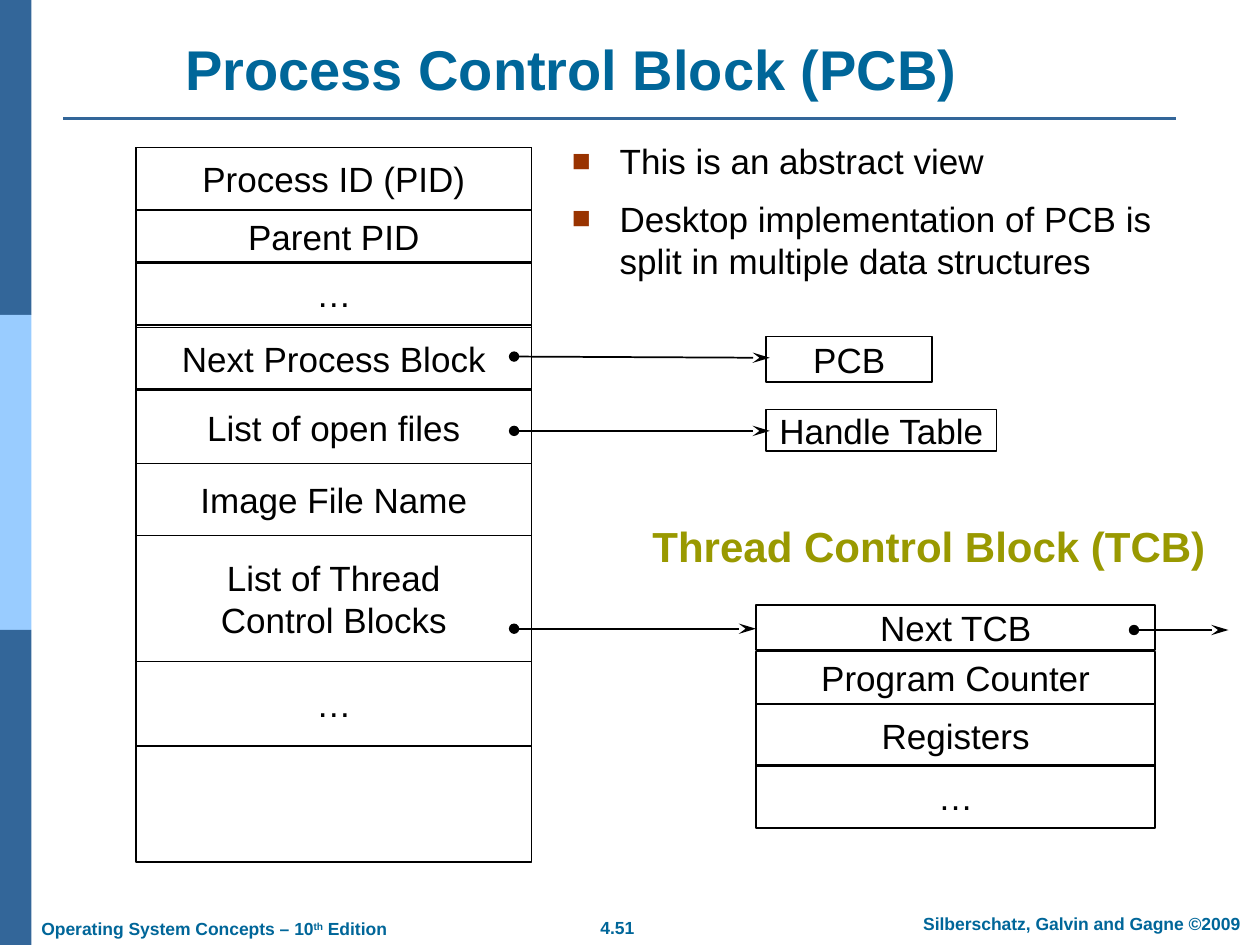
import pptx
import pptx.util
import pptx.dml.color
import pptx.enum.shapes
import pptx.enum.text
import pptx.oxml
import pptx.oxml.ns
from lxml import etree

Inches = pptx.util.Inches
Pt = pptx.util.Pt
RGBColor = pptx.dml.color.RGBColor
ALIGN = pptx.enum.text.PP_ALIGN
ANCHOR = pptx.enum.text.MSO_ANCHOR
RECT = pptx.enum.shapes.MSO_SHAPE.RECTANGLE
LINE = pptx.enum.shapes.MSO_CONNECTOR.STRAIGHT
qn = pptx.oxml.ns.qn

BLACK = RGBColor(0, 0, 0)
BLUE = RGBColor(0x33, 0x66, 0x99)
PALE = RGBColor(0x99, 0xCC, 0xFF)
TEAL = RGBColor(0, 0x66, 0x99)
OLIVE = RGBColor(0x99, 0x99, 0)

deck = pptx.Presentation()
deck.slide_width, deck.slide_height = Inches(10), Inches(7.5)
slide = deck.slides.add_slide(deck.slide_layouts[6])
shapes = slide.shapes


def add_text(frame, text, size, color, bold=False, align=ALIGN.LEFT):
    """Fill the first paragraph of a frame and style it."""
    para = frame.paragraphs[0]
    para.text = text
    para.alignment = align
    font = para.font
    font.name, font.size, font.bold = "Arial", Pt(size), bold
    font.color.rgb = color
    return para


def add_line(start, end, color, width):
    line = shapes.add_connector(LINE, *[Inches(v) for v in start + end])
    line.line.color.rgb = color
    line.line.width = Pt(width)
    etree.SubElement(line._element.spPr, qn("a:effectLst"))
    return line


# Side band and rule under the title
for row, color in enumerate([BLUE, PALE, BLUE]):
    band = shapes.add_shape(RECT, 0, Inches(2.5 * row), Inches(0.25), Inches(2.5))
    band.shadow.inherit = False
    band.fill.solid()
    band.fill.fore_color.rgb = color
    band.line.fill.background()
add_line((0.5, 0.94), (9.33, 0.94), BLUE, 1.5)

# Title, heading and footers: place, wrap, text, size, colour, alignment
labels = [
    ((0.78, 0, 7.51, 0.86), True, "Process Control Block (PCB)", 32, TEAL, ALIGN.CENTER),
    ((5.08, 4.08, 4.59, 0.5), False, "Thread Control Block (TCB)", 24, OLIVE, ALIGN.LEFT),
    ((4.41, 7.23, 0.98, 0.27), False, "4.51", 10, TEAL, ALIGN.CENTER),
    ((7.1, 7.2, 2.97, 0.27), True, "Silberschatz, Galvin and Gagne ©2009", 10, TEAL, ALIGN.CENTER),
    ((0.23, 7.24, 2.94, 0.27), False, "Operating System Concepts – 10", 10, TEAL, ALIGN.LEFT),
]
for place, wrap, text, size, color, align in labels:
    frame = shapes.add_textbox(*[Inches(v) for v in place]).text_frame
    frame.word_wrap = wrap
    if size == 32:
        frame.vertical_anchor = ANCHOR.BOTTOM
    para = add_text(frame, text, size, color, True, align)

# The last label is the book title, which ends in a raised ordinal
raised = para.add_run()
raised.text = "th"
raised.font._element.set("baseline", "30000")
para.add_run().text = " Edition"

# Bulleted remarks
frame = shapes.add_textbox(Inches(4.44), Inches(1.06), Inches(4.96), Inches(1.33)).text_frame
frame.word_wrap = True
remarks = [
    "This is an abstract view",
    "Desktop implementation of PCB is split in multiple data structures",
]
for row, text in enumerate(remarks):
    para = frame.add_paragraph() if row else frame.paragraphs[0]
    para.text = text
    if row:
        para.space_before = Pt(8.8)
    props = para._element.get_or_add_pPr()
    props.set("marL", str(Inches(0.38)))
    props.set("indent", str(-Inches(0.38)))
    tint = etree.SubElement(props, qn("a:buClr"))
    etree.SubElement(tint, qn("a:srgbClr"), val="993300")
    etree.SubElement(props, qn("a:buSzPct"), val="90000")
    etree.SubElement(props, qn("a:buFont"), typeface="Arial")
    etree.SubElement(props, qn("a:buChar"), char="■")
    para.font.name, para.font.size = "Arial", Pt(20)
    para.font.color.rgb = BLACK

# Boxes: each column has a left edge, a width and rows of (top, height, text)
columns = [
    (1.08, 3.14, [
        (1.17, 5.67, ""),
        (1.17, 0.5, "Process ID (PID)"),
        (1.67, 0.42, "Parent PID"),
        (2.08, 0.5, "…"),
        (2.6, 0.49, "Next Process Block"),
        (3.1, 0.58, "List of open files"),
        (3.68, 0.57, "Image File Name"),
        (4.25, 1, "List of Thread\nControl Blocks"),
        (5.25, 0.67, "…"),
    ]),
    (6, 3.17, [
        (4.8, 0.36, "Next TCB"),
        (5.17, 0.42, "Program Counter"),
        (5.59, 0.49, "Registers"),
        (6.07, 0.5, "…"),
    ]),
    (6.08, 1.32, [(2.67, 0.36, "PCB")]),
    (6.08, 1.83, [(3.25, 0.33, "Handle Table")]),
]
for left, width, rows in columns:
    for top, height, text in rows:
        box = shapes.add_shape(RECT, Inches(left), Inches(top), Inches(width), Inches(height))
        box.shadow.inherit = False
        box.fill.background()
        box.line.color.rgb = BLACK
        box.line.width = Pt(1)
        if text:
            box.text_frame.word_wrap = False
            box.text_frame.vertical_anchor = ANCHOR.MIDDLE
            add_text(box.text_frame, text, 20, BLACK, align=ALIGN.CENTER)

# Pointers from a field to the block it refers to
pointers = [
    ((4.08, 2.83), (6.11, 2.84)),
    ((4.08, 3.42), (6.11, 3.42)),
    ((4.08, 4.99), (6, 4.99)),
    ((9, 5), (9.75, 5)),
]
for start, end in pointers:
    stroke = add_line(start, end, BLACK, 1).line._get_or_add_ln()
    etree.SubElement(stroke, qn("a:headEnd"), type="oval")
    etree.SubElement(stroke, qn("a:tailEnd"), type="stealth", w="med", len="lg")

deck.save("out.pptx")
